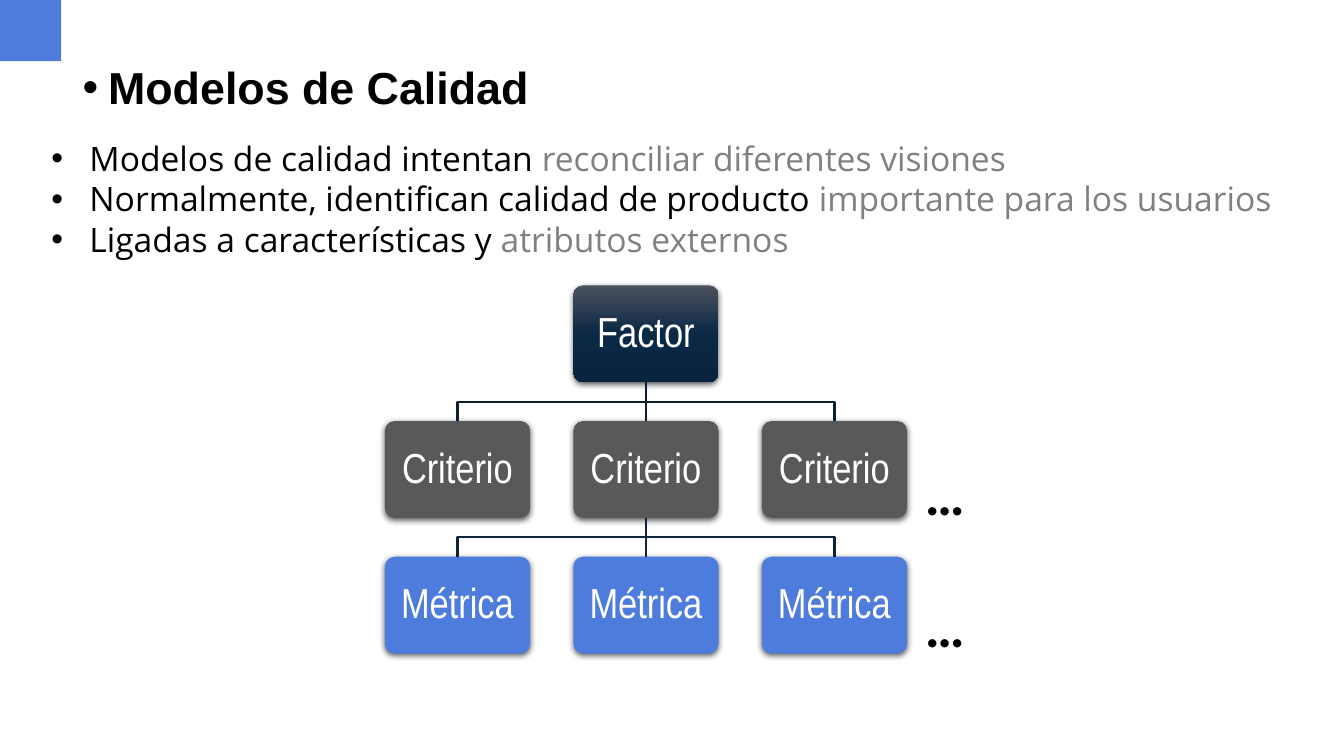
from copy import deepcopy
from typing import NamedTuple

from lxml.etree import SubElement
from pptx import Presentation
from pptx.dml.color import RGBColor
from pptx.enum.shapes import MSO_CONNECTOR, MSO_SHAPE
from pptx.enum.text import MSO_ANCHOR, MSO_AUTO_SIZE, PP_ALIGN
from pptx.oxml.ns import qn
from pptx.util import Cm, Pt

BOX_WIDTH, BOX_HEIGHT = 3.66, 2.44
TREE_LEFT, TREE_TOP = 9.7, 7.19
COLUMN_STEP, ROW_STEP = 4.75, 3.42
MIDDLE = 1


class Level(NamedTuple):
    """One row of the quality tree."""
    label: str
    columns: tuple[int, ...]
    fills: tuple[str, ...]
    branch_color: str


class Point(NamedTuple):
    """One list entry: a plain start and a grey ending."""
    start: str
    ending: str


class Ellipsis(NamedTuple):
    """Position of the dots that continue a row."""
    left: float
    top: float


LEVELS = (
    Level("Factor", (1,), ("4C525F", "0B2844", "08243E"), "0B2034"),
    Level("Criterio", (0, 1, 2), ("595959",), "0D243B"),
    Level("Métrica", (0, 1, 2), ("4E7CDD",), ""),
)
POINTS = (
    Point("Modelos de calidad intentan ", "reconciliar diferentes visiones"),
    Point("Normalmente, identifican calidad de producto ", "importante para los usuarios"),
    Point("Ligadas a características y ", "atributos externos"),
)
ELLIPSES = (Ellipsis(23.06, 11.46), Ellipsis(23.06, 14.78))


def color(value: str) -> RGBColor:
    """Turn a hex string into a colour."""
    return RGBColor.from_string(value)


def place(shape, left: float, top: float, width: float, height: float) -> None:
    """Move and size a shape in centimetres."""
    shape.left, shape.top = Cm(left), Cm(top)
    shape.width, shape.height = Cm(width), Cm(height)


def style(span, font: str, size: float, value: str, bold: bool = False) -> None:
    """Format one run."""
    span.font.name, span.font.size, span.font.bold = font, Pt(size), bold
    span.font.color.rgb = color(value)


def add_bullet(para, indent: float) -> None:
    """Give a paragraph a hanging round bullet."""
    properties = para._p.get_or_add_pPr()
    properties.set("marL", str(Cm(indent)))
    properties.set("indent", str(-Cm(indent)))
    SubElement(properties, qn("a:buFont"), typeface="Arial")
    SubElement(properties, qn("a:buChar"), char="•")


def add_title(page) -> None:
    """Write the bulleted title."""
    title = page.shapes.title
    place(title, 1.83, 1.52, 13.67, 1.3)
    frame = title.text_frame
    frame.text = "Modelos de Calidad"
    frame.auto_size, frame.vertical_anchor = MSO_AUTO_SIZE.NONE, MSO_ANCHOR.TOP
    para = frame.paragraphs[0]
    add_bullet(para, 0.64)
    para.alignment, para.line_spacing = PP_ALIGN.LEFT, 0.9
    style(para.runs[0], "Arial", 32, "000000", True)


def add_points(page) -> None:
    """Write the list in the body placeholder."""
    body = page.placeholders[1]
    place(body, 1.04, 3.35, 32, 3.33)
    frame = body.text_frame
    frame.auto_size = MSO_AUTO_SIZE.NONE
    frame.text = "\n".join(point.start for point in POINTS)
    for para, point in zip(frame.paragraphs, POINTS):
        add_bullet(para, 0.96)
        para.space_before = Pt(0)
        para.add_run().text = point.ending
        for span, value in zip(para.runs, ("000000", "808080")):
            style(span, "Open Sans", 24, value)


def fill_shape(shape, values: tuple[str, ...]) -> None:
    """Fill with one colour, or with three from top to bottom."""
    if len(values) == 1:
        shape.fill.solid()
        shape.fill.fore_color.rgb = color(values[0])
        return
    shape.fill.gradient()
    shape.fill.gradient_angle = 270
    stop_list = shape._element.spPr.find(".//" + qn("a:gsLst"))
    stop_list.insert(1, deepcopy(stop_list[0]))
    for stop, value, position in zip(shape.fill.gradient_stops, values, (0, 0.5, 1)):
        stop.color.rgb, stop.position = color(value), position


def add_shadow(shape) -> None:
    """Add a soft shadow below a shape."""
    shape.shadow.inherit = False
    effects = shape._element.spPr.find(qn("a:effectLst"))
    shadow = SubElement(effects, qn("a:outerShdw"), blurRad=str(Pt(4.5)),
                        dist=str(Pt(1.5)), dir="5400000", rotWithShape="0")
    black = SubElement(shadow, qn("a:srgbClr"), val="000000")
    SubElement(black, qn("a:alpha"), val="63000")


def add_box(page, level: Level, row: int, column: int):
    """Draw one box of the tree."""
    box = page.shapes.add_shape(
        MSO_SHAPE.ROUNDED_RECTANGLE, Cm(TREE_LEFT + column * COLUMN_STEP),
        Cm(TREE_TOP + row * ROW_STEP), Cm(BOX_WIDTH), Cm(BOX_HEIGHT))
    box.adjustments[0] = 0.1
    fill_shape(box, level.fills)
    box.line.fill.background()
    add_shadow(box)
    frame = box.text_frame
    frame.text = level.label
    frame.vertical_anchor = MSO_ANCHOR.MIDDLE
    frame.margin_left = frame.margin_right = Cm(0.3)
    para = frame.paragraphs[0]
    para.alignment, para.line_spacing = PP_ALIGN.CENTER, 0.9
    style(para.runs[0], "Arial Narrow", 30, "FFFFFF")
    return box


def add_branch(page, parent, child, value: str) -> None:
    """Join a parent box to a child box."""
    start_x, end_x = (box.left + box.width // 2 for box in (parent, child))
    start_y, end_y = parent.top + parent.height, child.top
    if start_x == end_x:
        branch = page.shapes.add_connector(MSO_CONNECTOR.STRAIGHT, start_x, start_y, end_x, end_y)
        branch.begin_connect(parent, 2)
        branch.end_connect(child, 0)
    else:
        bend_y = (start_y + end_y) // 2
        outline = page.shapes.build_freeform(start_x, start_y)
        outline.add_line_segments(((start_x, bend_y), (end_x, bend_y), (end_x, end_y)), close=False)
        branch = outline.convert_to_shape()
        branch.fill.background()
    branch.line.color.rgb, branch.line.width = color(value), Pt(1.5)
    SubElement(branch._element.spPr, qn("a:effectLst"))


def add_tree(page) -> None:
    """Draw the boxes row by row with their branches."""
    rows = [{column: add_box(page, level, row, column) for column in level.columns}
            for row, level in enumerate(LEVELS)]
    for level, parents, children in zip(LEVELS, rows, rows[1:]):
        for child in children.values():
            add_branch(page, parents[MIDDLE], child, level.branch_color)


def add_ellipsis(page, spot: Ellipsis) -> None:
    """Write the dots at the end of a row."""
    box = page.shapes.add_textbox(Cm(spot.left), Cm(spot.top), Cm(1.52), Cm(1.96))
    box.text_frame.text = "…"
    box.text_frame.word_wrap = False
    style(box.text_frame.paragraphs[0].runs[0], "Calibri", 40, "000000", True)


def main() -> None:
    """Build and save the slide."""
    deck = Presentation()
    deck.slide_width, deck.slide_height = Cm(33.87), Cm(19.05)
    page = deck.slides.add_slide(deck.slide_layouts[1])
    corner = page.shapes.add_shape(MSO_SHAPE.RECTANGLE, 0, 0, Cm(1.54), Cm(1.54))
    fill_shape(corner, ("4E7CDD",))
    corner.line.fill.background()
    corner.shadow.inherit = False
    add_title(page)
    add_points(page)
    add_tree(page)
    for spot in ELLIPSES:
        add_ellipsis(page, spot)
    deck.save("out.pptx")


if __name__ == "__main__":
    main()
